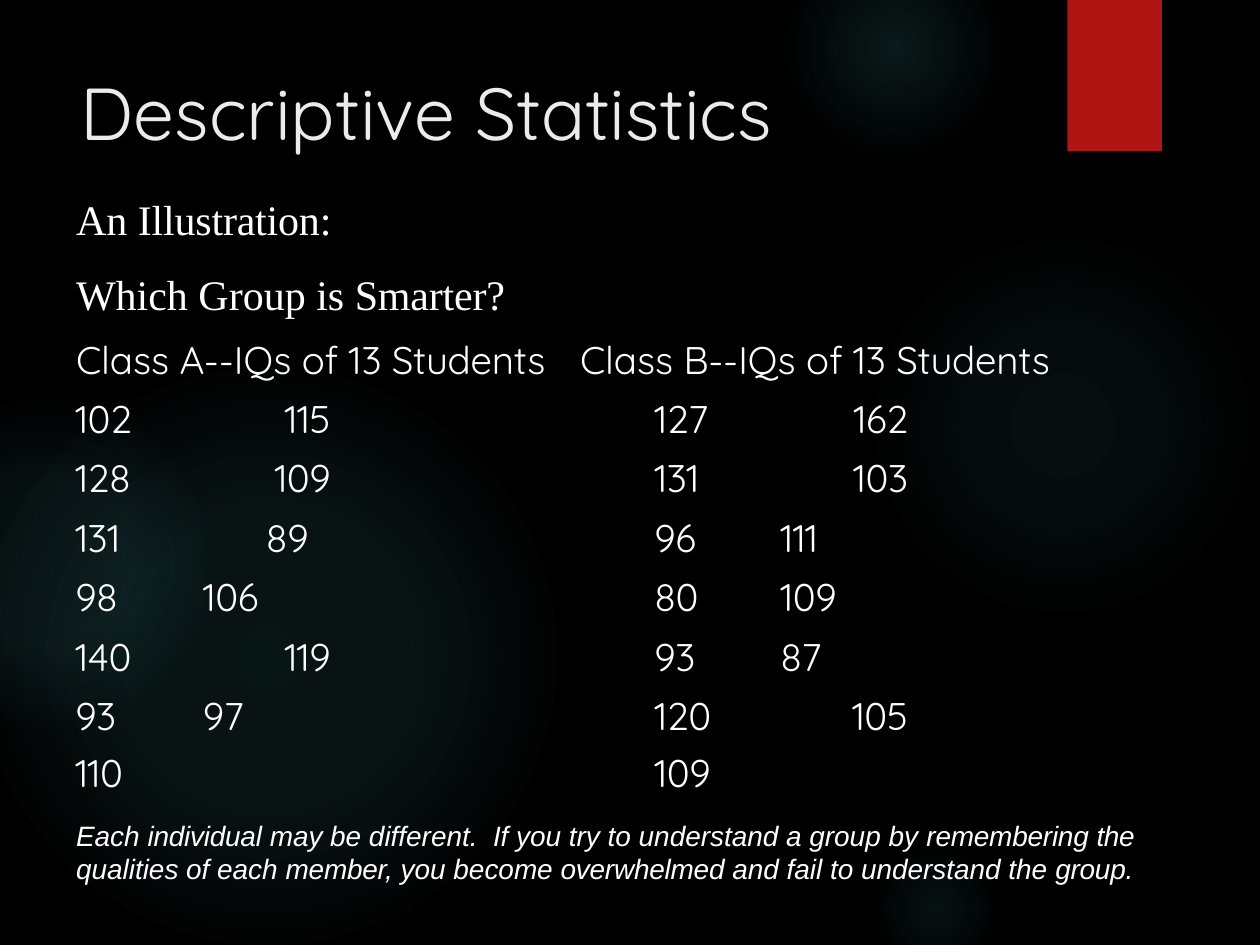
import lxml.etree
import pptx
import pptx.dml.color
import pptx.enum.shapes
import pptx.enum.text
import pptx.oxml.ns
import pptx.util

Pt = pptx.util.Pt
RGBColor = pptx.dml.color.RGBColor
SHAPE = pptx.enum.shapes.MSO_SHAPE
ALIGN = pptx.enum.text.PP_ALIGN
qn = pptx.oxml.ns.qn

BLACK = RGBColor(0x00, 0x00, 0x00)
WHITE = RGBColor(0xFF, 0xFF, 0xFF)
PALE = RGBColor(0xEB, 0xEB, 0xEB)
RED = RGBColor(0xB0, 0x15, 0x13)
TEAL = RGBColor(0x50, 0xB9, 0xC1)

# left, top, diameter, then (stop, opacity) pairs in percent
GLOWS = [
    (496, 132, 222, [(0, 7), (36, 6), (69, 0)]),
    (448, -36, 126, [(0, 14), (36, 7), (73, 0)]),
    (496, 480, 78, [(0, 9), (36, 5), (66, 0)]),
    (-12, 210, 330, [(0, 11), (36, 10), (75, 0)]),
    (-66, 228, 186, [(0, 8), (36, 8), (72, 0)]),
]

# each run is its text and its letter spacing
TITLE = [("Descriptive ", 0), ("Statistics", -0.1)]
ILLUSTRATION = [("An ", 0), ("Illustration:", -0.1)]
QUESTION = [("Which Group is ", 0), ("Smarter?", -0.1)]
CLASSES = [
    ("Class ", 0), ("A-", -0.3), ("-", -0.1), ("IQs of 13", 0), (" Students", -0.1),
    ("\tClass ", 0), ("B--", -0.1), ("IQs of 13 ", 0), ("Students", -0.1),
]
REMARK = [
    [("Each ", 0), ("individual ", -0.1),
     ("may be different.  If you try to understand a group by ", 0),
     ("remembering ", -0.1), ("the", -0.2)],
    [("qualities of each ", 0), ("member, ", -0.1), ("you become ", 0),
     ("overwhelmed ", -0.1), ("and fail to understand the ", 0), ("group.", -0.1)],
]
CLASS_A = [(102, 115), (128, 109), (131, 89), (98, 106), (140, 119), (93, 97), (110,)]
CLASS_B = [(127, 162), (131, 103), (96, 111), (80, 109), (93, 87), (120, 105), (109,)]

COLUMN_WIDTHS = [57, 183, 147, 93]
ROW_HEIGHTS = [30, 34, 34, 34, 34, 34, 30]
FIRST_IQ_INDENTS = [2, 93]
SECOND_IQ_MARGINS = [92, 2]


def write_runs(paragraph, runs, font_name, size, color, indent=0, italic=None):
    properties = paragraph._p.get_or_add_pPr()
    properties.set("marL", str(Pt(indent)))
    properties.set("indent", "0")
    for text, spacing in runs:
        run = paragraph.add_run()
        run.text = text
        run.font.name = font_name
        run.font.size = Pt(size)
        run.font.color.rgb = color
        run.font.italic = italic
        if spacing:
            run._r.get_or_add_rPr().set("spc", str(round(spacing * 100)))


def add_text_area(slide, left, top, width, height, inset_top):
    frame = slide.shapes.add_textbox(Pt(left), Pt(top), Pt(width), Pt(height)).text_frame
    frame.word_wrap = True
    frame.margin_left = frame.margin_right = frame.margin_bottom = 0
    frame.margin_top = Pt(inset_top)
    return frame


def add_color(parent, color, opacity):
    node = lxml.etree.SubElement(parent, qn("a:srgbClr"), val=str(color))
    lxml.etree.SubElement(node, qn("a:alpha"), val=str(opacity * 1000))


def add_glow(slide, left, top, diameter, stops):
    glow = slide.shapes.add_shape(SHAPE.OVAL, Pt(left), Pt(top), Pt(diameter), Pt(diameter))
    glow.shadow.inherit = False
    glow.line.fill.background()
    glow.fill.gradient()
    gradient = glow._element.spPr.find(qn("a:gradFill"))
    for child in list(gradient):
        gradient.remove(child)
    stop_list = lxml.etree.SubElement(gradient, qn("a:gsLst"))
    for position, opacity in stops:
        stop = lxml.etree.SubElement(stop_list, qn("a:gs"), pos=str(position * 1000))
        add_color(stop, TEAL, opacity)
    circle = lxml.etree.SubElement(gradient, qn("a:path"), path="circle")
    lxml.etree.SubElement(circle, qn("a:fillToRect"), l="50000", t="50000", r="50000", b="50000")


def add_ribbon(slide):
    ribbon = slide.shapes.add_shape(SHAPE.RECTANGLE, Pt(610), 0, Pt(54), Pt(86.4))
    ribbon.shadow.inherit = False
    ribbon.fill.solid()
    ribbon.fill.fore_color.rgb = RED
    ribbon.line.fill.background()
    effects = ribbon._element.spPr.find(qn("a:effectLst"))
    shadow = lxml.etree.SubElement(
        effects, qn("a:outerShdw"), blurRad=str(Pt(3)), dist=str(Pt(2)), dir="5400000")
    add_color(shadow, BLACK, 45)


def add_iq_table(slide):
    graphic = slide.shapes.add_table(
        len(ROW_HEIGHTS), len(COLUMN_WIDTHS), Pt(41), Pt(226),
        Pt(sum(COLUMN_WIDTHS)), Pt(sum(ROW_HEIGHTS)))
    table = graphic.table
    table.first_row = table.horz_banding = False
    style = table._tbl.tblPr.find(qn("a:tableStyleId"))
    style.text = "{2D5ABB26-0587-4C30-8999-92F81FD0307C}"
    for column, width in zip(table.columns, COLUMN_WIDTHS):
        column.width = Pt(width)
    for row, height in zip(table.rows, ROW_HEIGHTS):
        row.height = Pt(height)
    for cell in table.iter_cells():
        cell.fill.background()
        cell.margin_left = cell.margin_right = cell.margin_top = cell.margin_bottom = 0
    for group, scores in enumerate([CLASS_A, CLASS_B]):
        for row, pair in enumerate(scores):
            for place, score in enumerate(pair):
                cell = table.cell(row, group * 2 + place)
                cell.margin_top = Pt(3.6 if row else 0)
                paragraph = cell.text_frame.paragraphs[0]
                indent = 0
                if place == 0:
                    indent = FIRST_IQ_INDENTS[group]
                elif pair[0] < 100:
                    indent = 18
                elif score < 100:
                    indent = 54
                else:
                    paragraph.alignment = ALIGN.RIGHT
                    cell.margin_right = Pt(SECOND_IQ_MARGINS[group])
                if len(pair) == 1:
                    paragraph.line_spacing = Pt(25.9)
                write_runs(paragraph, [(str(score), -0.2)], "Quicksand", 22, WHITE, indent)


def add_introduction(slide):
    frame = add_text_area(slide, 42.5, 95, 607, 124.5, 15.4)
    write_runs(frame.paragraphs[0], ILLUSTRATION, "Times New Roman", 24, WHITE, 1)
    question = frame.add_paragraph()
    question.space_before = Pt(14.4)
    write_runs(question, QUESTION, "Times New Roman", 24, WHITE, 1)
    classes = frame.add_paragraph()
    classes.space_before = Pt(9.7)
    tabs = lxml.etree.SubElement(classes._p.get_or_add_pPr(), qn("a:tabLst"))
    lxml.etree.SubElement(tabs, qn("a:tab"), pos=str(Pt(331.2)), algn="l")
    write_runs(classes, CLASSES, "Quicksand", 22, WHITE, 1)


def main():
    presentation = pptx.Presentation()
    presentation.slide_width = Pt(720)
    presentation.slide_height = Pt(540)
    slide = presentation.slides.add_slide(presentation.slide_layouts[6])
    slide.background.fill.solid()
    slide.background.fill.fore_color.rgb = BLACK

    for glow in GLOWS:
        add_glow(slide, *glow)
    add_ribbon(slide)

    title = add_text_area(slide, 45, 37.5, 407, 52.5, 1)
    write_runs(title.paragraphs[0], TITLE, "Quicksand", 42, PALE, 1)
    add_iq_table(slide)
    add_introduction(slide)

    remark = add_text_area(slide, 42.5, 466.5, 611, 40.5, 1)
    for index, line in enumerate(REMARK):
        paragraph = remark.add_paragraph() if index else remark.paragraphs[0]
        write_runs(paragraph, line, "Arial", 16, WHITE, 1, True)

    presentation.save("out.pptx")


if __name__ == "__main__":
    main()
